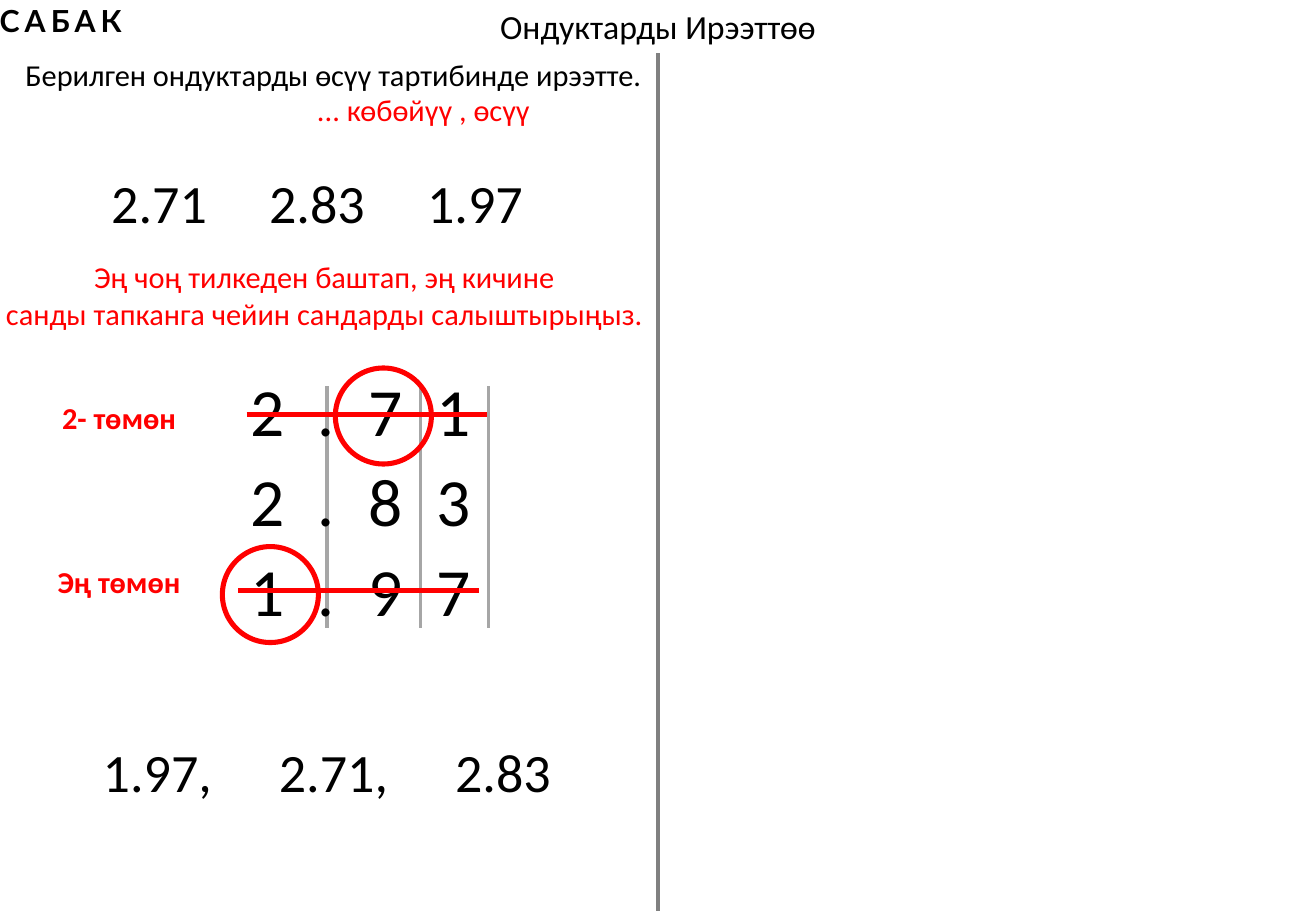
from collections import namedtuple

from lxml.etree import SubElement
from pptx import Presentation
from pptx.dml.color import RGBColor
from pptx.enum.shapes import MSO_CONNECTOR as CONNECTOR
from pptx.enum.shapes import MSO_SHAPE as SHAPE
from pptx.enum.text import MSO_AUTO_SIZE as AUTO_SIZE
from pptx.enum.text import PP_ALIGN as ALIGN
from pptx.oxml.ns import qn
from pptx.util import Inches, Pt

COLORS = {
    "text": "000000",
    "accent": "FF0000",
    "grid": "A6A6A6",
    "divider": "808080",
    "background": "FFFFFF",
}
Box = namedtuple("Box", "left top width height")


def color(name):
    return RGBColor.from_string(COLORS[name])


def add_text(slide, box, lines, size=18, fill="text", bold=False,
             font="Calibri", spacing=0, align=ALIGN.CENTER):
    shape = slide.shapes.add_textbox(*map(Inches, box))
    frame = shape.text_frame
    frame.word_wrap = False
    frame.auto_size = AUTO_SIZE.SHAPE_TO_FIT_TEXT
    for index, line in enumerate(lines):
        paragraph = frame.add_paragraph() if index else frame.paragraphs[0]
        paragraph.alignment = align
        run = paragraph.add_run()
        run.text = line
        run.font.name = font
        run.font.size = Pt(size)
        run.font.bold = bold
        run.font.color.rgb = color(fill)
        if spacing:
            run.font._element.set("spc", str(spacing * 100))


def add_line(slide, start, end, stroke, width):
    line = slide.shapes.add_connector(CONNECTOR.STRAIGHT, *map(Inches, start + end))
    line.line.color.rgb = color(stroke)
    line.line.width = Pt(width)
    SubElement(line._element.spPr, qn("a:effectLst"))


def add_ring(slide, left, top, diameter=0.79):
    ring = slide.shapes.add_shape(
        SHAPE.OVAL, *map(Inches, (left, top, diameter, diameter)))
    ring.shadow.inherit = False
    ring.fill.background()
    ring.line.color.rgb = color("accent")
    ring.line.width = Pt(3)


def add_header(slide, box):
    add_text(slide, Box(box.left - 0.11, box.top - 0.03, 1.22, 0.4), ["САБАК"],
             bold=True, font="Lato", spacing=3)
    add_text(slide, Box(box.left + (box.width - 2.83) / 2, box.top, 2.83, 0.44),
             ["Ондуктарды Ирээттөө"], size=20)
    middle = box.left + box.width / 2
    add_line(slide, (middle, box.top + 0.44), (middle, box.top + box.height),
             "divider", 2.25)


def add_task(slide, box):
    add_text(slide, Box(box.left, box.top, box.width, 0.4),
             ["Берилген ондуктарды өсүү тартибинде ирээтте."])
    add_text(slide, Box(box.left + 2.42, box.top + 0.29, 1.97, 0.4),
             ["... көбөйүү , өсүү"], fill="accent")


def add_number_row(slide, box, numbers, step):
    for index, number in enumerate(numbers):
        width = 1.11 if number.endswith(",") else 1
        add_text(slide, Box(box.left + index * step, box.top, width, box.height),
                 [number], size=32)


def add_hint(slide, box):
    add_text(slide, box, ["Эң чоң тилкеден баштап, эң кичине",
                          "санды тапканга чейин сандарды салыштырыңыз."],
             fill="accent")


def add_comparison(slide, box):
    for offset in (0.73, 1.5, 2.06):
        x = box.left + offset
        add_line(slide, (x, box.top + 0.19), (x, box.top + 2.18), "grid", 2.25)
    for index, number in enumerate(("2.71", "2.83", "1.97")):
        add_text(slide, Box(box.left, box.top + index * 0.74, box.width, 0.77),
                 [number], size=40, spacing=20, align=ALIGN.LEFT)
    for label, center, width, top in (("2- төмөн", -0.98, 1.15, 0.25),
                                      ("Эң төмөн", -0.98, 1.23, 1.6)):
        add_text(slide, Box(box.left + center - width / 2, box.top + top, width, 0.4),
                 [label], fill="accent", bold=True)
    for left, top in ((0.8, 0.04), (-0.13, 1.51)):
        add_ring(slide, box.left + left, box.top + top)
    for left, top in ((0.07, 0.42), (0, 1.87)):
        x, y = box.left + left, box.top + top
        add_line(slide, (x, y), (x + 1.98, y), "accent", 3)


def main():
    presentation = Presentation()
    presentation.slide_width = Inches(10.83)
    presentation.slide_height = Inches(7.5)
    slide = presentation.slides.add_slide(presentation.slide_layouts[6])
    slide.background.fill.solid()
    slide.background.fill.fore_color.rgb = color("background")
    add_header(slide, Box(0, 0, 10.83, 7.5))
    add_task(slide, Box(0.08, 0.41, 5.33, 0.69))
    add_number_row(slide, Box(0.81, 1.35, 3.59, 0.64), ("2.71", "2.83", "1.97"), 1.3)
    add_hint(slide, Box(-0.08, 2.08, 5.5, 0.71))
    add_comparison(slide, Box(1.96, 2.99, 2.32, 2.25))
    add_number_row(slide, Box(0.74, 6.03, 3.9, 0.64), ("1.97,", "2.71,", "2.83"), 1.45)
    presentation.save("out.pptx")


if __name__ == "__main__":
    main()
